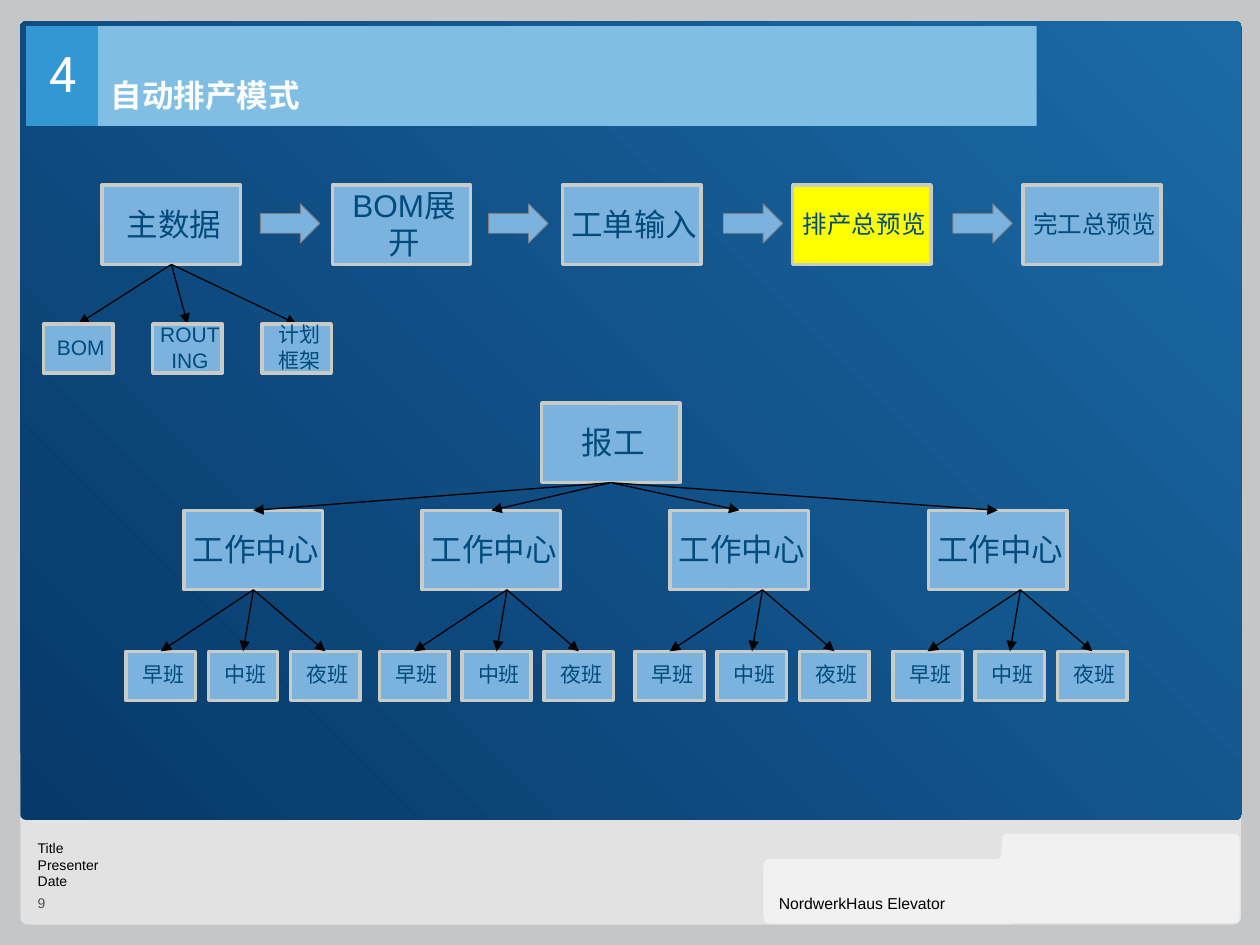
from lxml.etree import SubElement
from pptx import Presentation
from pptx.dml.color import RGBColor
from pptx.enum.shapes import MSO_CONNECTOR, MSO_SHAPE
from pptx.enum.text import MSO_ANCHOR, PP_ALIGN
from pptx.oxml.ns import qn
from pptx.util import Cm, Pt

COLORS = {
    "page": "C5C6C8", "footer": "E2E2E2", "tab": "F1F1F1",
    "deep": "07396A", "bright": "1B6AA6",
    "number": "3397D3", "title": "80BEE4", "white": "FFFFFF",
    "box": "7CB2DE", "border": "C9CBC7", "label": "004B7C",
    "highlight": "FFFF00", "arrow_edge": "808080",
    "black": "000000", "page_no": "515151",
}

# Box sizes (width, height) and row positions, in cm
BIG, SMALL, ARROW = (2.79, 1.6), (1.4, 0.99), (1.2, 0.79)
STEP_TOP, SUB_TOP, REPORT_TOP, CENTER_TOP, SHIFT_TOP = 3.73, 6.53, 8.13, 10.29, 13.13
BOX_INSETS = (0.15, 0.2, 0.05, 0.25)
HEADER_INSETS = (0.25, 0.13, 0.25, 0.25)


def rgb(name):
    return RGBColor.from_string(COLORS[name])


def add_panel(s, x, y, w, h, fill, kind=MSO_SHAPE.RECTANGLE, adj=None, line=None, width=0):
    sp = s.shapes.add_shape(kind, Cm(x), Cm(y), Cm(w), Cm(h))
    sp.shadow.inherit = False
    if adj is not None:
        sp.adjustments[0] = adj
    sp.fill.solid()
    sp.fill.fore_color.rgb = rgb(fill)
    if line:
        sp.line.color.rgb = rgb(line)
        sp.line.width = Pt(width)
    else:
        sp.line.fill.background()
    return sp


def set_frame(sp, insets, anchor):
    tf = sp.text_frame
    tf.word_wrap = True
    tf.vertical_anchor = anchor
    tf.margin_left, tf.margin_top, tf.margin_right, tf.margin_bottom = map(Cm, insets)
    return tf


def add_run(p, text, size, color, font="Arial", bold=False, align=PP_ALIGN.LEFT):
    p.alignment = align
    r = p.add_run()
    r.text = text
    r.font.size = Pt(size)
    r.font.name = font
    r.font.bold = bold
    r.font.color.rgb = rgb(color)


def add_box(s, x, y, dims, text, size, fill="box"):
    sp = add_panel(s, x, y, *dims, fill, line="border", width=2)
    tf = set_frame(sp, BOX_INSETS, MSO_ANCHOR.MIDDLE)
    add_run(tf.paragraphs[0], text, size, "label", align=PP_ALIGN.CENTER)


def add_fan(s, x, y, target_xs, target_y):
    """Arrows from one point to several points on a row."""
    for tx in target_xs:
        c = s.shapes.add_connector(MSO_CONNECTOR.STRAIGHT, Cm(x), Cm(y), Cm(tx), Cm(target_y))
        c.line.color.rgb = rgb("black")
        c.line.width = Pt(0.75)
        SubElement(c.line._get_or_add_ln(), qn("a:tailEnd"), type="triangle")
        SubElement(c._element.spPr, qn("a:effectLst"))


def middles(lefts, dims):
    return [x + dims[0] / 2 for x in lefts]


def add_frame(s):
    s.background.fill.solid()
    s.background.fill.fore_color.rgb = rgb("page")
    rounded = MSO_SHAPE.ROUNDED_RECTANGLE
    add_panel(s, 0.41, 15.67, 24.61, 2.97, "footer", rounded, 0.05)

    # Main area with diagonal gradient
    main_area = add_panel(s, 0.41, 0.43, 24.61, 16.1, "deep", rounded, 0.007)
    main_area.fill.gradient()
    main_area.fill.gradient_angle = 45
    for stop, name in zip(main_area.fill.gradient_stops, ("deep", "bright")):
        stop.color.rgb = rgb(name)
    # The footer strip covers the lower edge of the main area
    main_area.height = Cm(16.1)

    # Stepped footer tab
    add_panel(s, 20.19, 16.81, 4.8, 1.8, "tab", rounded, 0.064)
    add_panel(s, 15.39, 17.32, 5.11, 1.3, "tab", rounded, 0.095)
    add_panel(s, 19.91, 17.12, 0.3, 0.2, "tab")
    add_panel(s, 15.39, 16.81, 4.8, 0.51, "footer", rounded, 0.221)

    # Footer texts
    company = s.shapes.add_textbox(Cm(15.7), Cm(17.6), Cm(4.5), Cm(0.79))
    tf = set_frame(company, (0, 0.03, 0, 0), MSO_ANCHOR.BOTTOM)
    add_run(tf.paragraphs[0], "NordwerkHaus Elevator", 9, "black")
    details = s.shapes.add_textbox(Cm(0.76), Cm(16.92), Cm(8.48), Cm(1.47))
    tf = set_frame(details, (0, 0, 0, 0), MSO_ANCHOR.TOP)
    for i, text in enumerate(("Title", "Presenter", "Date", "9")):
        p = tf.add_paragraph() if i else tf.paragraphs[0]
        add_run(p, text, 8, "page_no" if text == "9" else "black")
    p.line_spacing = 1.3


def add_header(s):
    number = add_panel(s, 0.53, 0.53, 1.47, 2.01, "number")
    tf = set_frame(number, HEADER_INSETS, MSO_ANCHOR.MIDDLE)
    add_run(tf.paragraphs[0], "4", 28, "white", "Roboto", align=PP_ALIGN.CENTER)
    title = add_panel(s, 1.98, 0.53, 18.92, 2.01, "title")
    tf = set_frame(title, HEADER_INSETS, MSO_ANCHOR.BOTTOM)
    tf.paragraphs[0].line_spacing = 2.0
    add_run(tf.paragraphs[0], "自动排产模式", 18, "white", "Roboto", bold=True)


def add_process(s):
    steps = [("主数据", 18, "box"), ("BOM展开", 18, "box"), ("工单输入", 18, "box"),
             ("排产总预览", 14, "highlight"), ("完工总预览", 14, "box")]
    for i, (text, size, fill) in enumerate(steps):
        add_box(s, 2.06 + 4.64 * i, STEP_TOP, BIG, text, size, fill)
    for x in (5.25, 9.85, 14.58, 19.21):
        add_panel(s, x, 4.11, *ARROW, "box", MSO_SHAPE.RIGHT_ARROW,
                  line="arrow_edge", width=0.5)

    # Parts of the master data
    lefts = [0.88 + 2.2 * i for i in range(3)]
    add_fan(s, 2.06 + BIG[0] / 2, STEP_TOP + BIG[1], middles(lefts, SMALL), SUB_TOP)
    for x, text in zip(lefts, ("BOM", "ROUTING", "计划框架")):
        add_box(s, x, SUB_TOP, SMALL, text, 12)


def add_reporting(s):
    add_box(s, 10.92, REPORT_TOP, BIG, "报工", 18)
    center_lefts = (3.71, 8.51, 13.51, 18.72)
    for x in center_lefts:
        add_box(s, x, CENTER_TOP, BIG, "工作中心", 18)
    add_fan(s, 10.92 + BIG[0] / 2, REPORT_TOP + BIG[1], middles(center_lefts, BIG), CENTER_TOP)

    # Three shifts under each work center
    for left in (2.54, 7.65, 12.8, 18):
        shift_lefts = [left + 1.66 * i for i in range(3)]
        for x, text in zip(shift_lefts, ("早班", "中班", "夜班")):
            add_box(s, x, SHIFT_TOP, SMALL, text, 12)
        add_fan(s, left + 2.57, CENTER_TOP + BIG[1], middles(shift_lefts, SMALL), SHIFT_TOP)


def main():
    prs = Presentation()
    prs.slide_width, prs.slide_height = Cm(25.4), Cm(19.05)
    s = prs.slides.add_slide(prs.slide_layouts[6])
    add_frame(s)
    add_header(s)
    add_process(s)
    add_reporting(s)
    prs.save("out.pptx")


if __name__ == "__main__":
    main()
